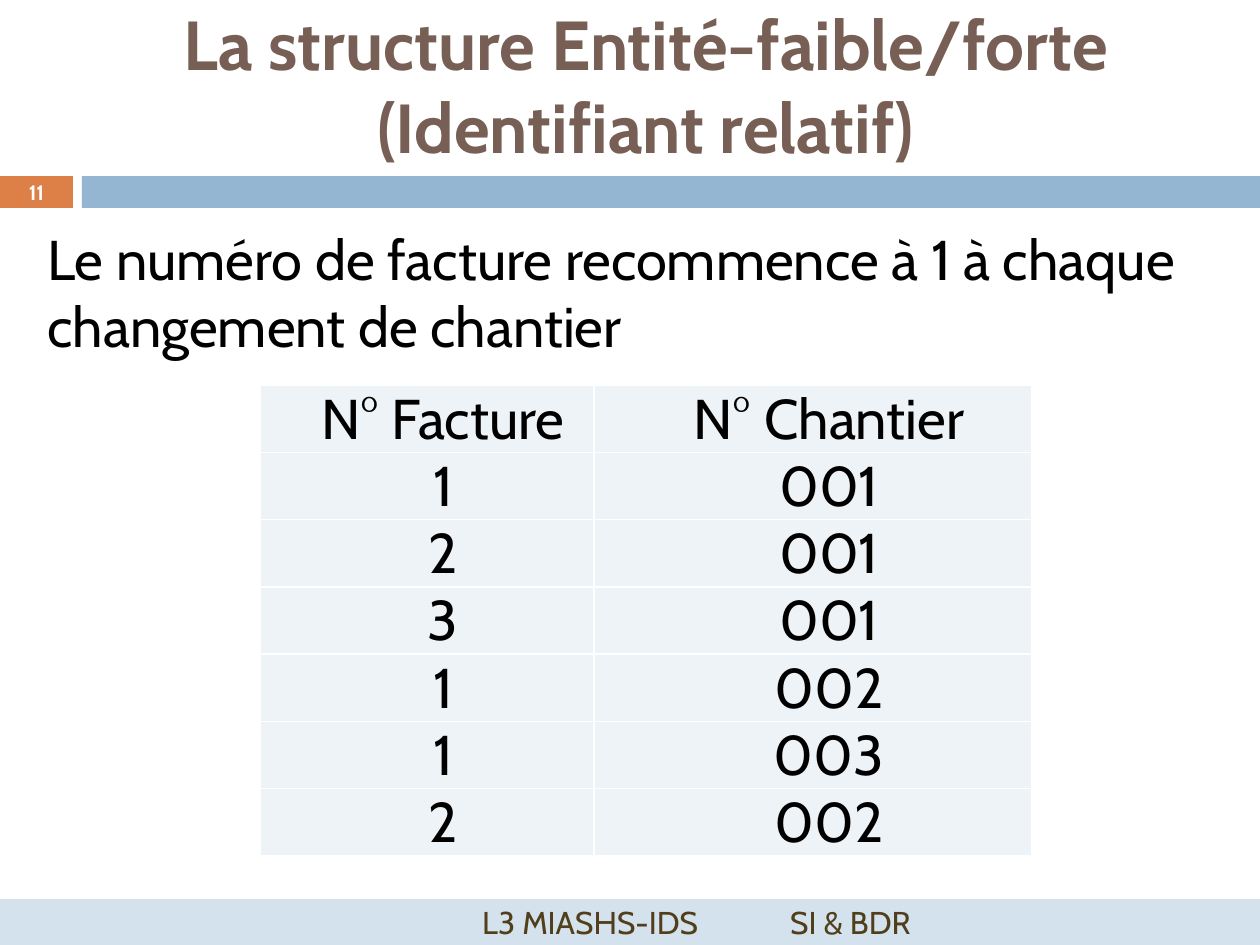
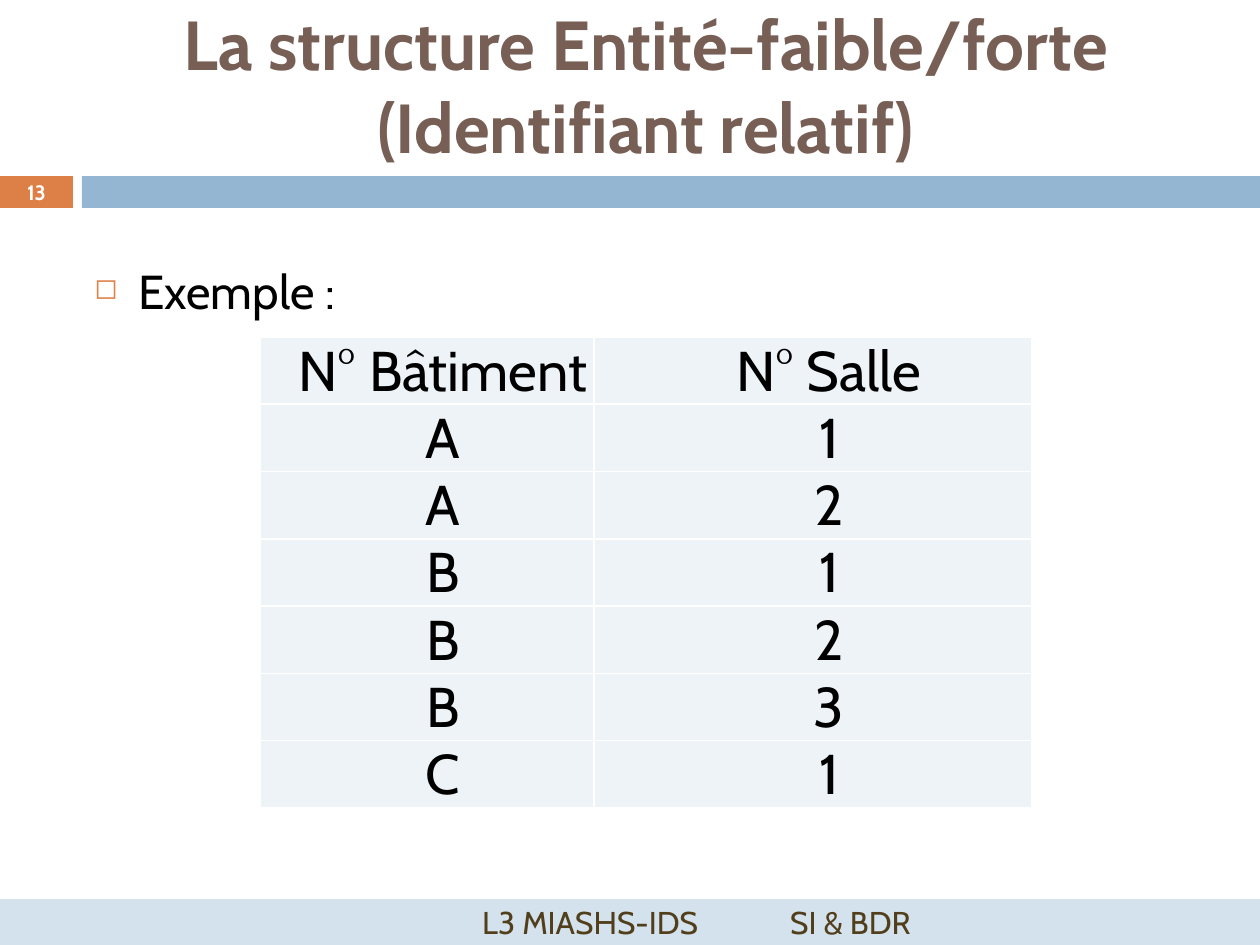
from lxml import etree
from pptx import Presentation
from pptx.dml.color import RGBColor
from pptx.enum.shapes import MSO_SHAPE
from pptx.enum.text import MSO_ANCHOR, PP_ALIGN
from pptx.oxml.ns import qn
from pptx.util import Pt

CENTER, LEFT = PP_ALIGN.CENTER, PP_ALIGN.LEFT
MIDDLE, TOP = MSO_ANCHOR.MIDDLE, MSO_ANCHOR.TOP
RECTANGLE = MSO_SHAPE.RECTANGLE

FONT = "Cabin"
COLORS = {
    "title": "775F55",
    "accent": "DD8047",
    "band": "94B6D2",
    "footer": "D4E2ED",
    "footer_text": "513E1B",
    "cell": "EEF3F7",
    "text": "000000",
    "white": "FFFFFF",
}

TITLE = "La structure Entité-faible/forte (Identifiant relatif)"
FOOTER = "\t\t L3 MIASHS-IDS\t\tSI & BDR"
SLIDES = [
    {
        "number": 11,
        "intro": "Le numéro de facture recommence à 1 à chaque changement de chantier",
        "intro_box": (35, 218, 1191, 149),
        "intro_size": 32,
        "bullet": False,
        "table_top": 385,
        "rows": [
            ("N° Facture", "N° Chantier"),
            ("1", "001"),
            ("2", "001"),
            ("3", "001"),
            ("1", "002"),
            ("1", "003"),
            ("2", "002"),
        ],
    },
    {
        "number": 13,
        "intro": "Exemple :",
        "intro_box": (82, 256, 321, 59),
        "intro_size": 27.2,
        "bullet": True,
        "table_top": 337,
        "rows": [
            ("N° Bâtiment", "N° Salle"),
            ("A", "1"),
            ("A", "2"),
            ("B", "1"),
            ("B", "2"),
            ("B", "3"),
            ("C", "1"),
        ],
    },
]

SLIDE_WIDTH, SLIDE_HEIGHT = 1260, 945
BAND_TOP, BAND_HEIGHT = 176, 32
NUMBER_WIDTH, BAND_LEFT = 73, 82
FOOTER_TOP = 899
TABLE_LEFT, COLUMN_WIDTHS, ROW_HEIGHT = 260, (334, 438), 67
CELL_MARGIN, CELL_INDENT, BULLET_INDENT = 6, 32, 44


def px(length):
    return round(length * 914400 / 126)


def color(name):
    return RGBColor.from_string(COLORS[name])


def style_paragraph(paragraph, text, size, color_name, align=CENTER, bold=False):
    paragraph.text = text
    paragraph.alignment = align
    font = paragraph.font
    font.name, font.size, font.bold = FONT, Pt(size), bold
    font.color.rgb = color(color_name)


def add_band(slide, box, fill):
    shape = slide.shapes.add_shape(RECTANGLE, *map(px, box))
    shape.shadow.inherit = False
    shape.fill.solid()
    shape.fill.fore_color.rgb = color(fill)
    shape.line.fill.background()
    return shape


def add_text(slide, box, text, size, color_name, align=CENTER, anchor=MIDDLE, bold=False):
    frame = slide.shapes.add_textbox(*map(px, box)).text_frame
    frame.word_wrap = True
    frame.vertical_anchor = anchor
    paragraph = frame.paragraphs[0]
    style_paragraph(paragraph, text, size, color_name, align, bold)
    return paragraph


def add_bullet(paragraph):
    paragraph.space_before = Pt(7)
    properties = paragraph._p.get_or_add_pPr()
    properties.set("marL", str(px(BULLET_INDENT)))
    properties.set("indent", str(-px(BULLET_INDENT)))
    bullet_color = etree.SubElement(properties, qn("a:buClr"))
    etree.SubElement(bullet_color, qn("a:srgbClr"), val=COLORS["accent"])
    etree.SubElement(properties, qn("a:buSzPct"), val="60000")
    etree.SubElement(properties, qn("a:buChar"), char="◻")


def style_cell(cell, text):
    cell.margin_left = cell.margin_right = px(CELL_MARGIN)
    cell.margin_top = cell.margin_bottom = 0
    properties = cell._tc.get_or_add_tcPr()
    for side in ("lnL", "lnR", "lnT", "lnB"):
        border = etree.SubElement(properties, qn(f"a:{side}"), w=str(Pt(1)))
        fill = etree.SubElement(border, qn("a:solidFill"))
        etree.SubElement(fill, qn("a:srgbClr"), val=COLORS["white"])
    cell.fill.solid()
    cell.fill.fore_color.rgb = color("cell")
    paragraph = cell.text_frame.paragraphs[0]
    style_paragraph(paragraph, text, 32, "text")
    paragraph._p.get_or_add_pPr().set("marL", str(px(CELL_INDENT)))


def add_data_table(slide, top, rows):
    box = (TABLE_LEFT, top, sum(COLUMN_WIDTHS), ROW_HEIGHT * len(rows))
    table = slide.shapes.add_table(len(rows), len(COLUMN_WIDTHS), *map(px, box)).table
    table.first_row = table.horz_banding = False
    for column, width in zip(table.columns, COLUMN_WIDTHS):
        column.width = px(width)
    for row, values in zip(table.rows, rows):
        row.height = px(ROW_HEIGHT)
        for cell, value in zip(row.cells, values):
            style_cell(cell, value)


def add_frame(slide, number):
    number_box = (0, BAND_TOP, NUMBER_WIDTH, BAND_HEIGHT)
    add_band(slide, number_box, "accent")
    add_band(slide, (BAND_LEFT, BAND_TOP, SLIDE_WIDTH - BAND_LEFT, BAND_HEIGHT), "band")
    footer = add_band(slide, (0, FOOTER_TOP, SLIDE_WIDTH, SLIDE_HEIGHT - FOOTER_TOP), "footer")
    footer.text_frame.vertical_anchor = MIDDLE
    style_paragraph(footer.text_frame.paragraphs[0], FOOTER, 18, "footer_text")
    add_text(slide, (84, 0, 1124, 168), TITLE, 39.6, "title", bold=True)
    add_text(slide, number_box, str(number), 11.9, "white", bold=True)


def main():
    presentation = Presentation()
    presentation.slide_width, presentation.slide_height = px(SLIDE_WIDTH), px(SLIDE_HEIGHT)
    for content in SLIDES:
        slide = presentation.slides.add_slide(presentation.slide_layouts[6])
        add_frame(slide, content["number"])
        intro = add_text(slide, content["intro_box"], content["intro"],
                         content["intro_size"], "text", LEFT, TOP)
        if content["bullet"]:
            add_bullet(intro)
        add_data_table(slide, content["table_top"], content["rows"])
    presentation.save("out.pptx")


if __name__ == "__main__":
    main()
